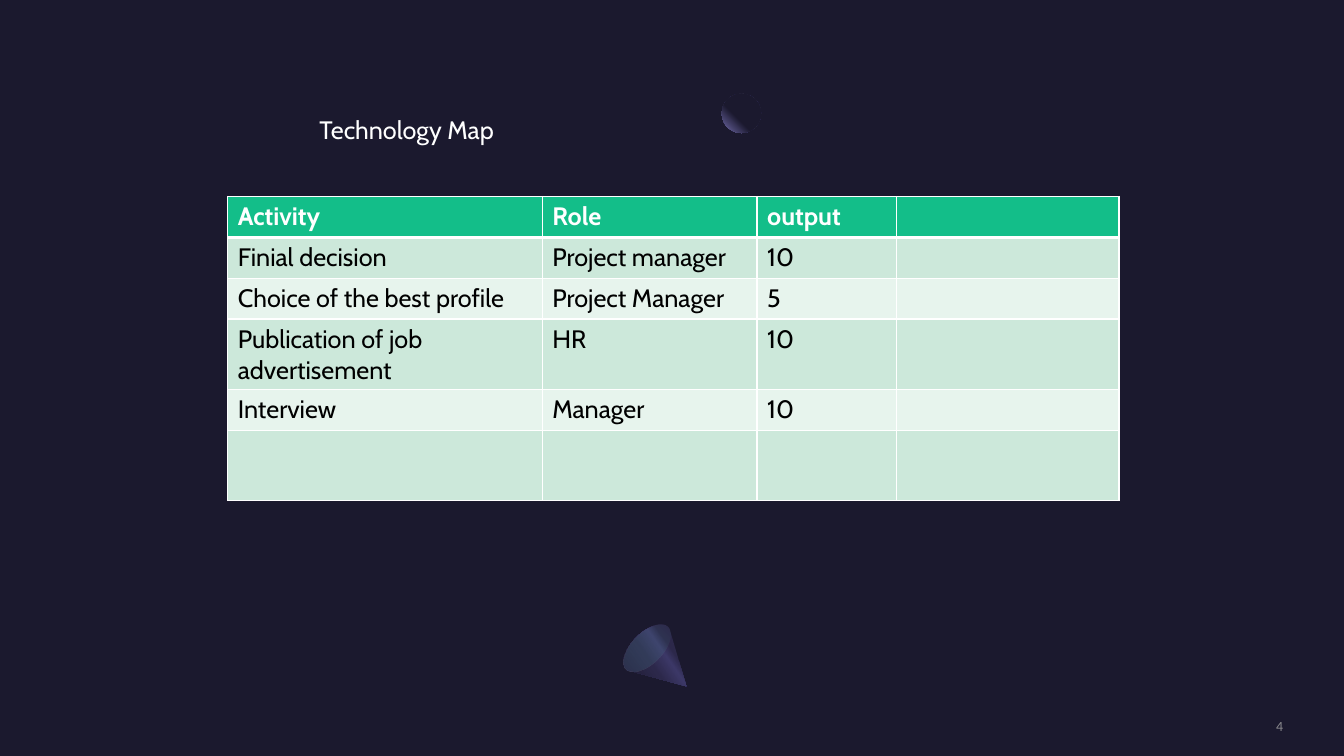
from math import cos, sin, radians, sqrt
from pptx import Presentation
from pptx.util import Inches, Pt
from pptx.dml.color import RGBColor as RGB
from pptx.enum.shapes import MSO_SHAPE as Kind
from pptx.enum.text import PP_ALIGN as Align, MSO_ANCHOR as Anchor
from pptx.oxml.ns import qn
from lxml.etree import SubElement as Sub, Element

NIGHT = RGB(0x1B, 0x19, 0x2E)
DUSK = RGB(0x2C, 0x28, 0x4A)
PLUM = RGB(0x3C, 0x38, 0x67)
VIOLET = RGB(0x45, 0x40, 0x75)
LILAC = RGB(0x77, 0x71, 0xB2)
MINT = RGB(0x5B, 0xEF, 0xC1)
GREEN = RGB(0x13, 0xBE, 0x89)
BANDS = RGB(0xCC, 0xE8, 0xDA), RGB(0xE7, 0xF4, 0xED)
WHITE = RGB(0xFF, 0xFF, 0xFF)
BLACK = RGB(0, 0, 0)
GRAY = RGB(0xA6, 0xA6, 0xA6)


class Deck:
    font, size = "Cabin", 18

    def __init__(self, wide, high):
        self.show = Presentation()
        self.show.slide_width, self.show.slide_height = Inches(wide), Inches(high)
        self.slide = self.show.slides.add_slide(self.show.slide_layouts[6])
        self.slide.background.fill.solid()
        self.slide.background.fill.fore_color.rgb = NIGHT
        self.items = self.slide.shapes

    def across(self, share):
        return round(self.show.slide_width * share / 100)

    def down(self, share):
        return round(self.show.slide_height * share / 100)

    def box(self, left, top, wide, high):
        return self.across(left), self.down(top), self.across(wide), self.down(high)

    def color(self, node, tone, alpha=100):
        clr = Sub(node, qn("a:srgbClr"), val=str(tone))
        if alpha < 100:
            Sub(clr, qn("a:alpha"), val=str(alpha * 1000))

    def blend(self, shape, stops, angle=None):
        shape.shadow.inherit = False
        shape.line.fill.background()
        shape.fill.gradient()
        grad = shape.element.spPr.find(qn("a:gradFill"))
        for child in list(grad):
            grad.remove(child)
        steps = Sub(grad, qn("a:gsLst"))
        for place, *tone in stops:
            self.color(Sub(steps, qn("a:gs"), pos=str(place * 1000)), *tone)
        if angle is None:
            ring = Sub(grad, qn("a:path"), path="circle")
            Sub(ring, qn("a:fillToRect"), l="100000", b="100000")
        else:
            Sub(grad, qn("a:lin"), ang=str(angle * 60000), scaled="0")

    def oval(self, spot, stops, angle=None, turn=0):
        shape = self.items.add_shape(Kind.OVAL, *self.box(*spot))
        shape.rotation = turn
        self.blend(shape, stops, angle)

    def cone(self, mid, tip, radii, stops, angle):
        x, y = self.across(mid[0]), self.down(mid[1])
        long, short = (self.down(r) / sqrt(2) for r in radii)
        rim = []
        for step in range(-10, 191, 5):
            u, v = long * cos(radians(step)), short * sin(radians(step))
            rim.append((round(x + u - v), round(y - u - v)))
        pen = self.items.build_freeform(self.across(tip[0]), self.down(tip[1]))
        pen.add_line_segments(rim, close=True)
        self.blend(pen.convert_to_shape(), stops, angle)

    def say(self, para, words, tone, bold=False, font=None, size=None):
        run = para.add_run()
        run.text = words
        run.font.name, run.font.size = font or self.font, Pt(size or self.size)
        run.font.bold, run.font.color.rgb = bold, tone
        return run

    def text(self, spot, words, tone, **style):
        frame = self.items.add_textbox(*self.box(*spot)).text_frame
        frame.word_wrap = True
        self.say(frame.paragraphs[0], words, tone, **style)
        return frame

    def number(self, spot, words):
        frame = self.text(spot, words, GRAY, font="Calibri", size=10)
        frame.margin_left = frame.margin_right = 0
        frame.margin_top = frame.margin_bottom = 0
        frame.vertical_anchor = Anchor.MIDDLE
        para = frame.paragraphs[0]
        para.alignment = Align.RIGHT
        for clr in para.runs[0]._r.iter(qn("a:srgbClr")):
            Sub(clr, qn("a:alpha"), val="80000")

    def edge(self, cell, head):
        props = cell._tc.get_or_add_tcPr()
        for i, side in enumerate("LRTB"):
            wide = 3 if head and side == "B" else 1
            line = Element(qn("a:ln" + side), w=str(int(Pt(wide))))
            self.color(Sub(line, qn("a:solidFill")), WHITE)
            props.insert(i, line)

    def table(self, left, top, cols, rows, data):
        spot = self.box(left, top, sum(cols), sum(rows))
        grid = self.items.add_table(len(rows), len(cols), *spot).table
        for col, wide in zip(grid.columns, cols):
            col.width = self.across(wide)
        for r, high in enumerate(rows):
            grid.rows[r].height = self.down(high)
            head = r == 0
            for c, cell in enumerate(grid.rows[r].cells):
                cell.fill.solid()
                cell.fill.fore_color.rgb = GREEN if head else BANDS[(r - 1) % 2]
                self.edge(cell, head)
                if c < len(data[r]):
                    self.say(cell.text_frame.paragraphs[0], data[r][c],
                             WHITE if head else BLACK, head)


TASKS = [
    ("Activity", "Role", "output"),
    ("Finial decision", "Project manager", "10"),
    ("Choice of the best profile", "Project Manager", "5"),
    ("Publication of job advertisement", "HR", "10"),
    ("Interview", "Manager", "10"),
    (),
]
LOW, TALL = 5.4, 9.3

deck = Deck(13.33, 7.5)
deck.oval((53.7, 12.4, 2.93, 5.2), [(60, NIGHT), (100, LILAC)])
deck.cone((48.15, 85.7), (51.08, 90.8), (3.93, 2),
          [(30, DUSK), (40, PLUM), (60, DUSK), (100, NIGHT)], 145)
deck.oval((47.03, 81.73, 2.25, 7.87), [(0, VIOLET, 33), (100, MINT, 0)], 90, 225)
deck.number((81.6, 94.93, 13.88, 2.27), "4")
deck.table(16.95, 26, (23.4, 15.98, 10.35, 16.58),
           (LOW, LOW, LOW, TALL, LOW, TALL), TASKS)
deck.text((23.03, 14.4, 30.45, 5.33), "Technology Map", WHITE)
deck.show.save("out.pptx")
